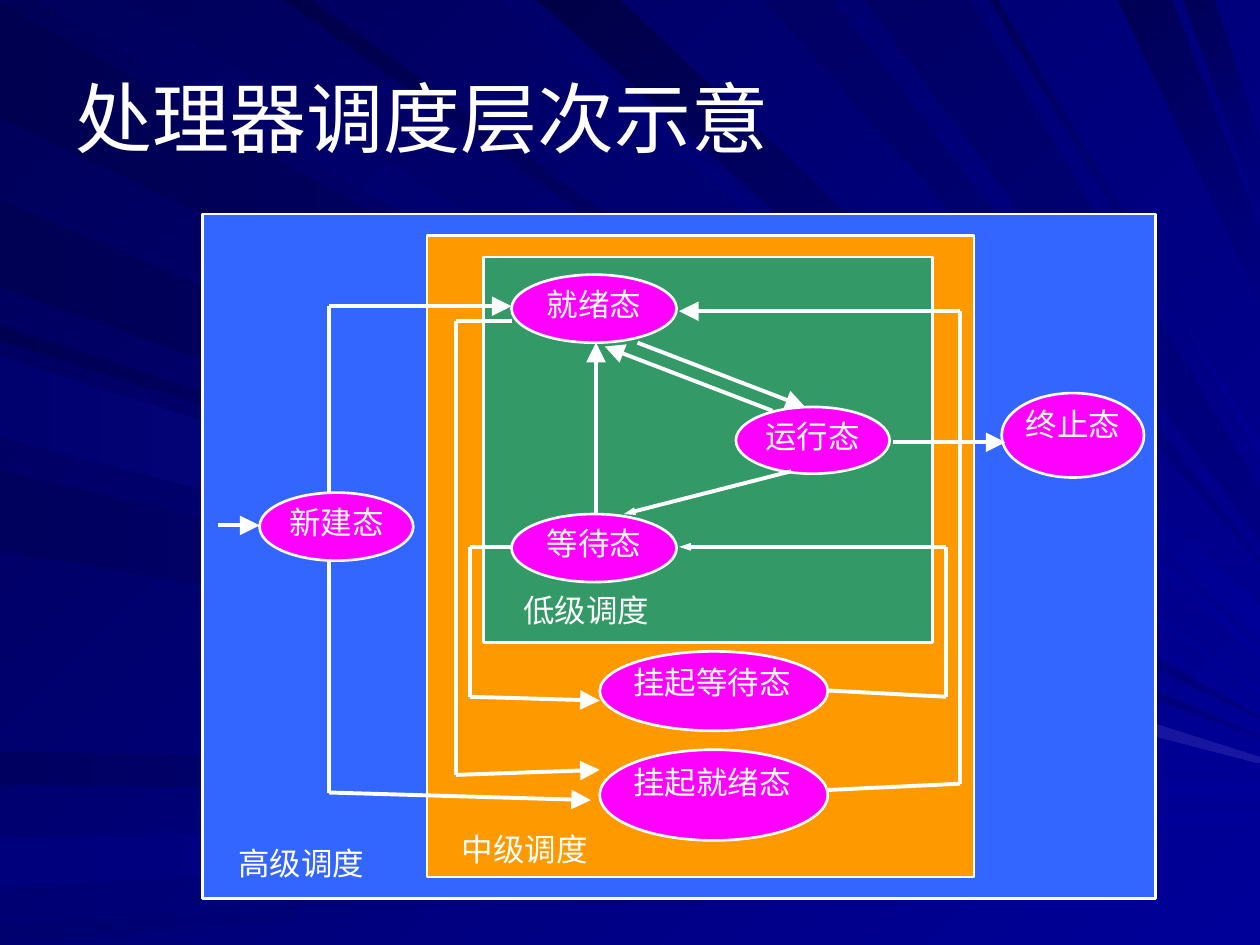
from itertools import pairwise

from lxml import etree
from pptx import Presentation
from pptx import util as u
from pptx.dml.color import RGBColor
from pptx.enum import shapes, text
from pptx.oxml import ns

PX = u.Inches(1) // 100
WIDTH, HEIGHT = 1000, 750
WHITE = "FFFFFF"
CENTER, LEFT = text.PP_ALIGN.CENTER, text.PP_ALIGN.LEFT
LARGE, SLIM = ("lg", "lg"), ("sm", "med")

# Each ray spans two places on its starting edge and two on the right edge
LEFT_RAYS = [
    (2, 93, 570, 569, "000051", "000080"),
    (596, 623, 632, 621, "000061", "000099"),
    (665, 704, 651, 643, "00007D", "000099"),
    (735, 750, 662, 660, "00006F", "000099"),
    (258, 270, 589, 588, "000053", "000099"),
    (159, 228, 585, 584, "000055", "000080"),
    (374, 437, 606, 605, "00005D", "000099"),
    (283, 347, 606, 601, "00006F", "1717A2"),
]
TOP_RAYS = [
    (26, 101, 562, 563, "00005D", "000099"),
    (398, 416, 515, 521, "00006B", "000099"),
    (426, 492, 479, 507, "000047", "000099"),
    (606, 661, 445, 446, "000065", "000080"),
    (887, 930, 183, 237, "000055", "000080"),
    (939, 964, 114, 167, "000059", "000080"),
    (225, 247, 547, 552, "00004A", "000099"),
    (686, 770, 390, 428, "000065", "000080"),
    (785, 792, 354, 360, "000058", "000099"),
]
PANELS = [
    ((0, 0, 756, 543), "3366FF"),
    ((178, 17, 434, 509), "FF9900"),
    ((223, 34, 356, 306), "339966"),
]
LABELS = [
    ((25, 500, 106, 34), "高级调度"),
    ((189, 489, 133, 34), "中级调度"),
    ((223, 299, 163, 34), "低级调度"),
]
STATES = [
    ((45, 221, 122, 54), "新建态", CENTER),
    ((245, 48, 131, 54), "就绪态", CENTER),
    ((423, 153, 122, 53), "运行态", CENTER),
    ((245, 238, 131, 54), "等待态", CENTER),
    ((315, 347, 181, 63), "挂起等待态", LEFT),
    ((315, 425, 181, 72), "挂起就绪态", LEFT),
    ((634, 142, 113, 67), "终止态", CENTER),
]
ROUTES = [
    ([(12, 247), (45, 247)], LARGE),
    ([(100, 221), (100, 73), (245, 73)], LARGE),
    ([(100, 275), (100, 459), (308, 465)], LARGE),
    ([(312, 238), (312, 102)], LARGE),
    ([(345, 102), (478, 153)], LARGE),
    ([(452, 156), (319, 105)], LARGE),
    ([(467, 204), (334, 238)], SLIM),
    ([(548, 181), (637, 181)], LARGE),
    ([(245, 264), (212, 264), (212, 383), (315, 386)], LARGE),
    ([(245, 85), (201, 85), (201, 445), (315, 441)], LARGE),
    ([(496, 378), (590, 383), (590, 264), (378, 264)], SLIM),
    ([(496, 457), (601, 452), (601, 77), (378, 77)], LARGE),
]


def color(value):
    """Return the colour of a hex string."""
    return RGBColor.from_string(value)


def place(box, origin):
    """Return EMU lengths of a left, top, width, height box moved by origin."""
    left, top, width, height = box
    return [n * PX for n in (left + origin[0], top + origin[1], width, height)]


def fill_gradient(fill, first, last, angle):
    """Fill with a linear gradient at a clockwise angle."""
    fill.gradient()
    fill.gradient_angle = (360 - angle) % 360
    for stop, value in zip(fill.gradient_stops, (first, last)):
        stop.color.rgb = color(value)


def write(shape, words, size, font, align):
    """Write one white paragraph into a shape."""
    shape.text_frame.text = words
    shape.text_frame.word_wrap = True
    paragraph = shape.text_frame.paragraphs[0]
    paragraph.alignment = align
    paragraph.font.size = u.Pt(size)
    paragraph.font.name = font
    paragraph.font.color.rgb = color(WHITE)


def write_tight(shape, words, font, align):
    """Write a caption at the top of a shape without insets."""
    frame = shape.text_frame
    frame.margin_left = frame.margin_right = frame.margin_top = frame.margin_bottom = 0
    frame.vertical_anchor = text.MSO_ANCHOR.TOP
    write(shape, words, 18, font, align)


def add_block(slide, kind, box, origin, fill):
    """Add a filled shape with a thin white outline."""
    shape = slide.shapes.add_shape(kind, *place(box, origin))
    shape.shadow.inherit = False
    shape.fill.solid()
    shape.fill.fore_color.rgb = color(fill)
    shape.line.color.rgb = color(WHITE)
    shape.line.width = u.Pt(1.5)
    return shape


def add_line(slide, start, end, head, origin):
    """Add a white line, with an arrowhead when its size is given."""
    points = [(n + offset) * PX for point in (start, end) for n, offset in zip(point, origin)]
    line = slide.shapes.add_connector(shapes.MSO_CONNECTOR.STRAIGHT, *points)
    line.line.color.rgb = color(WHITE)
    line.line.width = u.Pt(2.25)
    if head:
        etree.SubElement(line.line._get_or_add_ln(), ns.qn("a:tailEnd"),
                         type="triangle", w=head[0], len=head[1])
    etree.SubElement(line._element.spPr, ns.qn("a:effectLst"))


def add_ray(slide, points, first, last, angle):
    """Draw one gradient ray."""
    builder = slide.shapes.build_freeform(*points[0], scale=PX)
    builder.add_line_segments(points[1:])
    ray = builder.convert_to_shape()
    ray.shadow.inherit = False
    ray.line.fill.background()
    fill_gradient(ray.fill, first, last, angle)


def add_backdrop(slide, width):
    """Draw the gradient background and its rays."""
    fill_gradient(slide.background.fill, "000058", "000099", 45)
    for start, end, far_start, far_end, first, last in LEFT_RAYS:
        upper, lower = sorted((far_start, far_end))
        points = [(0, start), (width, upper), (width, lower), (0, end)]
        add_ray(slide, points, first, last, 0)
    for start, end, upper, lower, first, last in TOP_RAYS:
        points = [(start, 0), (end, 0), (width, upper), (width, lower)]
        add_ray(slide, points, first, last, 45)


def add_title(slide, box):
    """Place the title above the backdrop."""
    title = slide.shapes.title
    slide.shapes._spTree.append(title._element)
    title.left, title.top, title.width, title.height = place(box, (0, 0))
    title.text_frame.vertical_anchor = text.MSO_ANCHOR.MIDDLE
    write(title, "处理器调度层次示意", 44, "Arial", LEFT)


def add_diagram(slide, origin):
    """Draw the scheduling levels, process states and transitions."""
    for box, fill in PANELS:
        add_block(slide, shapes.MSO_SHAPE.RECTANGLE, box, origin, fill)
    for box, words in LABELS:
        label = slide.shapes.add_textbox(*place(box, origin))
        write_tight(label, words, "Noto Sans CJK SC", CENTER)
    for box, words, align in STATES:
        state = add_block(slide, shapes.MSO_SHAPE.OVAL, box, origin, "FF00FF")
        write_tight(state, words, "Arial", align)
    for points, head in ROUTES:
        for start, end in pairwise(points):
            add_line(slide, start, end, head if end == points[-1] else None, origin)


def main():
    """Build and save the slide."""
    presentation = Presentation()
    presentation.slide_width, presentation.slide_height = WIDTH * PX, HEIGHT * PX
    slide = presentation.slides.add_slide(presentation.slide_layouts[5])
    add_backdrop(slide, WIDTH)
    add_title(slide, (50, 30, 900, 125))
    add_diagram(slide, (161, 170))
    presentation.save("out.pptx")


if __name__ == "__main__":
    main()
